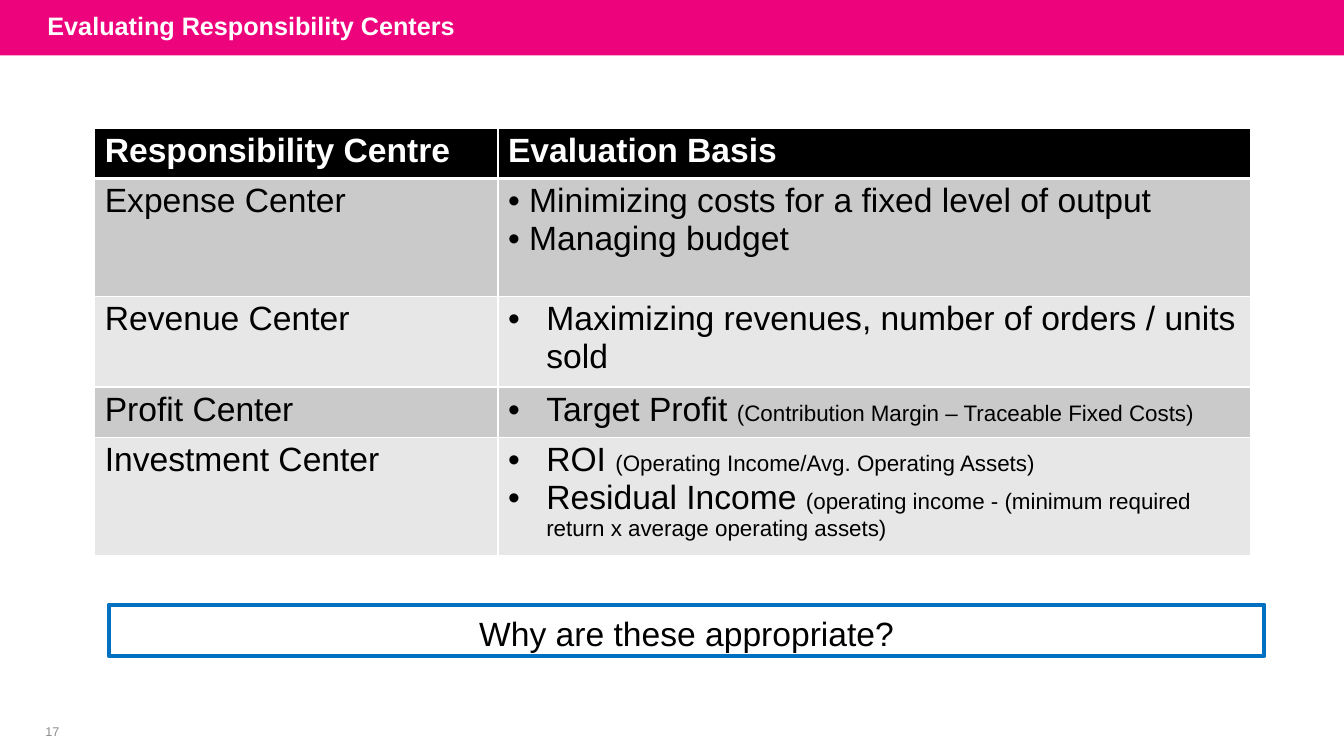
from dataclasses import dataclass
from itertools import product

from lxml.etree import SubElement as Sub
from pptx import Presentation
from pptx.dml.color import RGBColor as Rgb
from pptx.enum.shapes import MSO_SHAPE as Shape
from pptx.enum.text import MSO_ANCHOR as Anchor, MSO_AUTO_SIZE as Fit, PP_ALIGN as Align
from pptx.oxml.ns import qn
from pptx.util import Emu, Inches, Pt

WIDE, HIGH = Inches(13.33), Inches(7.5)
FACE = "Arial"
PINK, BLUE, GREY = "ED037C", "0070C0", "8C8C8C"
BLACK, WHITE = "000000", "FFFFFF"
DARK, LIGHT = "CACACA", "E7E7E7"
BODY, NOTE = 24, 16


@dataclass
class Box:
    """Left, top, width and height in percent of the slide."""
    left: float
    top: float
    width: float
    height: float

    def place(self) -> tuple:
        return across(self.left), down(self.top), across(self.width), down(self.height)


@dataclass
class Line:
    main: str
    note: str = ""


@dataclass
class Row:
    center: str
    basis: list
    height: float
    hang: float = 0.38
    inset: float = 0.1


BAR = Box(0, 0, 100, 7.33)
TITLE = Box(2.78, -0.27, 78.77, 7.33)
TABLE = Box(7.05, 16.93, 85.97, 56.54)
ASK = Box(8.1, 80, 85.97, 6.8)
NUMBER = Box(1.95, 95.2, 3.9, 3.2)
COLS = (30, 55.97)
ROWS = [
    Row("Responsibility Centre", [Line("Evaluation Basis")], 6.67, 0),
    Row("Expense Center",
        [Line("Minimizing costs for a fixed level of output"), Line("Managing budget")],
        15.6, 0.21),
    Row("Revenue Center",
        [Line("Maximizing revenues, number of orders / units sold")], 12),
    Row("Profit Center",
        [Line("Target Profit ", "(Contribution Margin – Traceable Fixed Costs)")], 6.67),
    Row("Investment Center",
        [Line("ROI ", "(Operating Income/Avg. Operating Assets)"),
         Line("Residual Income ",
              "(operating income - (minimum required return x average operating assets)")],
        15.6),
]


def across(share: float) -> Emu:
    return Emu(round(WIDE * share / 100))


def down(share: float) -> Emu:
    return Emu(round(HIGH * share / 100))


def color(code: str) -> Rgb:
    return Rgb.from_string(code)


def style(run, size: float, code: str, bold: bool = False) -> None:
    run.font.name, run.font.size, run.font.bold = FACE, Pt(size), bold
    run.font.color.rgb = color(code)


def write(frame, text: str, size: float, code: str, align=Align.LEFT, bold: bool = False) -> None:
    frame.text = text
    frame.word_wrap = True
    para = frame.paragraphs[0]
    para.alignment = align
    para.line_spacing, para.space_before = 1.0, Pt(0)
    style(para.runs[0], size, code, bold)


def trim(frame, top: float = 0) -> None:
    """Clear the insets of a text frame, save the top one in inches."""
    frame.margin_left = frame.margin_right = frame.margin_bottom = 0
    frame.margin_top = Inches(top)


def indent(para, inset: float, hang: float) -> None:
    """Inset a paragraph and, where it hangs, give it a bullet."""
    props = para._p.get_or_add_pPr()
    props.set("marL", str(Inches(inset + hang)))
    props.set("indent", str(-Inches(hang)))
    if hang:
        Sub(props, qn("a:buFont"), typeface=FACE)
        Sub(props, qn("a:buChar"), char="•")


def edge(cell, head: bool, first: bool) -> None:
    """Draw white cell borders, thick between the header and the body."""
    props = cell._tc.get_or_add_tcPr()
    for side in "LRTB":
        thick = (head and side == "B") or (first and side == "T")
        line = Sub(props, qn(f"a:ln{side}"), w=str(Pt(3 if thick else 1)))
        Sub(Sub(line, qn("a:solidFill")), qn("a:srgbClr"), val=WHITE)


def fill_cell(cell, lines: list, hang: float, rank: int) -> None:
    head = rank == 0
    edge(cell, head, rank == 1)
    cell.fill.solid()
    cell.fill.fore_color.rgb = color(BLACK if head else DARK if rank % 2 else LIGHT)
    trim(cell, 0.04)
    frame = cell.text_frame
    for i, line in enumerate(lines):
        para = frame.add_paragraph() if i else frame.paragraphs[0]
        indent(para, 0.1, hang)
        for text, size in ((line.main, BODY), (line.note, NOTE)):
            if text:
                run = para.add_run()
                run.text = text
                style(run, size, WHITE if head else BLACK, head)


def add_grid(slide) -> None:
    grid = slide.shapes.add_table(len(ROWS), len(COLS), *TABLE.place()).table
    for col, share in zip(grid.columns, COLS):
        col.width = across(share)
    for rank, row in enumerate(ROWS):
        grid.rows[rank].height = down(row.height)
    for (rank, row), col in product(enumerate(ROWS), range(len(COLS))):
        lines, hang = (row.basis, row.hang) if col else ([Line(row.center)], 0)
        fill_cell(grid.cell(rank, col), lines, hang, rank)


def add_box(slide, box: Box, fill: str = "", line: str = ""):
    shape = slide.shapes.add_shape(Shape.RECTANGLE, *box.place())
    shape.shadow.inherit = False
    for code, paint in ((fill, shape.fill), (line, shape.line.fill)):
        if code:
            paint.solid()
            paint.fore_color.rgb = color(code)
        else:
            paint.background()
    if line:
        shape.line.width = Pt(3)
    return shape


def add_title(slide) -> None:
    title = slide.shapes.title
    title.left, title.top, title.width, title.height = TITLE.place()
    frame = title.text_frame
    write(frame, "Evaluating Responsibility Centers", 18, WHITE, bold=True)
    frame.vertical_anchor, frame.auto_size = Anchor.MIDDLE, Fit.NONE
    tree = slide.shapes._spTree
    tree.remove(title._element)
    tree.append(title._element)


def main() -> None:
    deck = Presentation()
    deck.slide_width, deck.slide_height = WIDE, HIGH
    slide = deck.slides.add_slide(deck.slide_layouts[5])

    add_box(slide, BAR, fill=PINK)
    number = slide.shapes.add_textbox(*NUMBER.place()).text_frame
    trim(number)
    number.vertical_anchor = Anchor.MIDDLE
    write(number, "17", 9, GREY, Align.CENTER)
    add_title(slide)
    add_grid(slide)
    ask = add_box(slide, ASK, line=BLUE).text_frame
    trim(ask, 0.08)
    ask.vertical_anchor = Anchor.TOP
    write(ask, "Why are these appropriate?", BODY, BLACK, Align.CENTER)
    deck.save("out.pptx")


if __name__ == "__main__":
    main()
